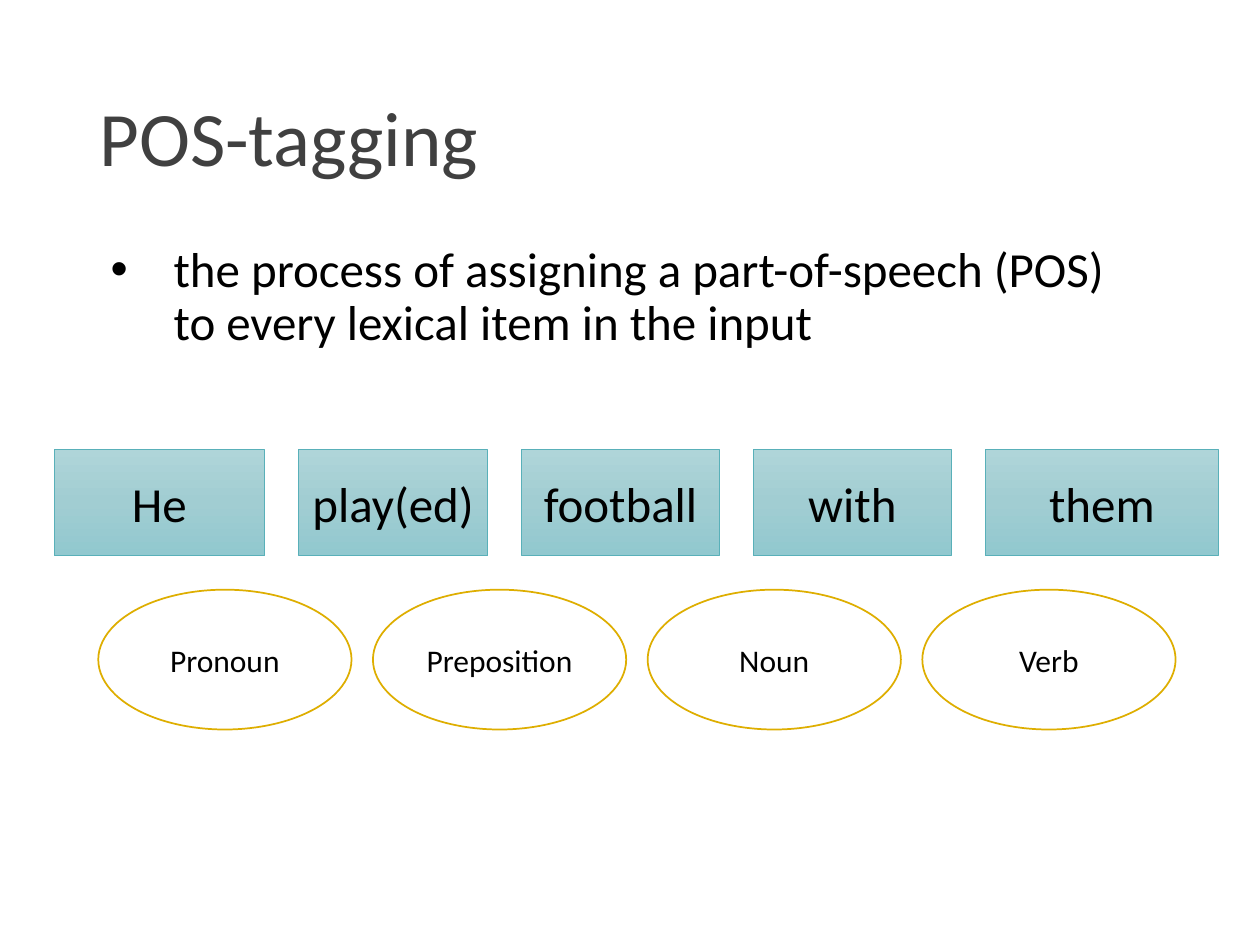
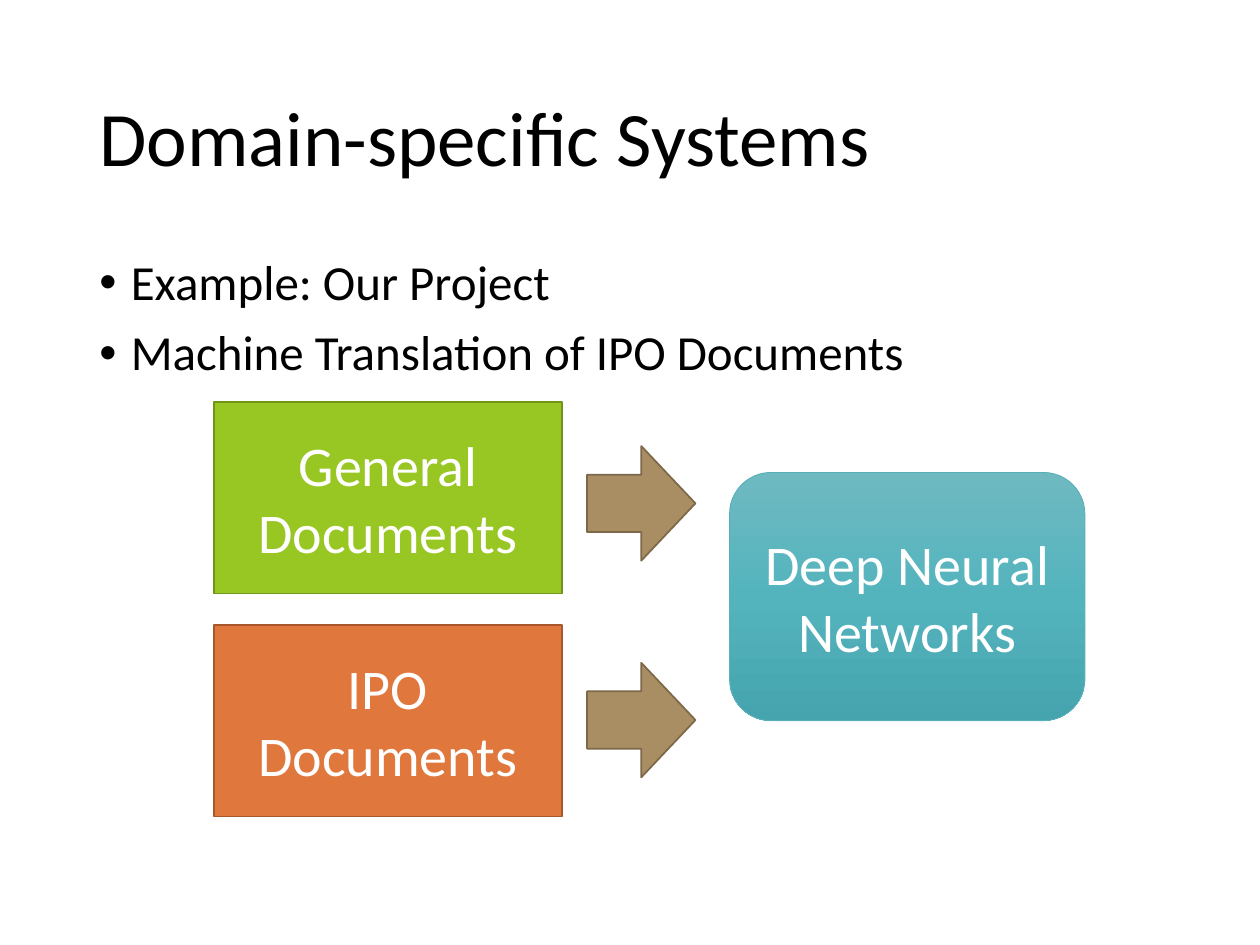
from copy import deepcopy

from lxml import etree
from pptx import Presentation
from pptx.dml.color import RGBColor
from pptx.enum.shapes import MSO_SHAPE
from pptx.enum.text import MSO_ANCHOR, PP_ALIGN
from pptx.oxml.ns import qn
from pptx.util import Inches, Pt

RECTANGLE = MSO_SHAPE.RECTANGLE
ROUNDED = MSO_SHAPE.ROUNDED_RECTANGLE
ELLIPSE = MSO_SHAPE.OVAL
ARROW = MSO_SHAPE.RIGHT_ARROW
MIDDLE, TOP = MSO_ANCHOR.MIDDLE, MSO_ANCHOR.TOP
CENTER, LEFT = PP_ALIGN.CENTER, PP_ALIGN.LEFT

FONT = "Calibri"
BLACK = RGBColor(0x00, 0x00, 0x00)
WHITE = RGBColor(0xFF, 0xFF, 0xFF)
GRAY = RGBColor(0x40, 0x40, 0x40)
GOLD = RGBColor(0xDE, 0xAE, 0x00)
TEAL = RGBColor(0x59, 0xB0, 0xB9)
GREEN = RGBColor(0x98, 0xC7, 0x23)
DARK_GREEN = RGBColor(0x70, 0x93, 0x1A)
ORANGE = RGBColor(0xE0, 0x77, 0x3C)
DARK_ORANGE = RGBColor(0xA6, 0x58, 0x2C)
TAN = RGBColor(0xA9, 0x8D, 0x63)
DARK_TAN = RGBColor(0x7D, 0x68, 0x49)
PALE_TEALS = (RGBColor(0xAF, 0xD5, 0xD9), RGBColor(0xA1, 0xCD, 0xD2), RGBColor(0x91, 0xC8, 0xCF))
DEEP_TEALS = (RGBColor(0x6F, 0xB9, 0xC1), RGBColor(0x54, 0xB4, 0xBE), RGBColor(0x45, 0xA4, 0xAE))

TITLE_BOX = (0.69, 0.4, 8.62, 1.45)

TAGGING = {
    "title": "POS-tagging",
    "bullets": ["the process of assigning a part-of-speech (POS) to every lexical item in the input"],
    "words": [("He", 1.67), ("play(ed)", 1.5), ("football", 1.57), ("with", 1.57), ("them", 1.85)],
    "tags": ["Pronoun", "Preposition", "Noun", "Verb"],
}
SYSTEMS = {
    "title": "Domain-specific Systems",
    "bullets": ["Example: Our Project", "Machine Translation of IPO Documents"],
    "sources": [("General Documents", GREEN, DARK_GREEN), ("IPO Documents", ORANGE, DARK_ORANGE)],
    "target": "Deep Neural Networks",
}

WORD_LEFT, WORD_TOP, WORD_HEIGHT, WORD_GAP = 0.43, 3.57, 0.84, 0.27
TAG_LEFT, TAG_TOP, TAG_SIZE, TAG_PITCH = 0.78, 4.68, (2.01, 1.11), 2.18
SOURCE_LEFT, SOURCE_TOP, SOURCE_SIZE, SOURCE_PITCH = 1.7, 3.19, (2.76, 1.52), 1.77
ARROW_LEFT, ARROW_TOP, ARROW_SIZE, ARROW_PITCH = 4.66, 3.54, (0.86, 0.91), 1.72
TARGET_BOX = (5.79, 3.75, 2.82, 1.97)


def format_text(paragraph, size, color, alignment=LEFT):
    paragraph.alignment = alignment
    for run in paragraph.runs:
        run.font.name = FONT
        run.font.size = Pt(size)
        run.font.color.rgb = color


def add_text_box(slide, box, lines, size, color, anchor=TOP, indent=None):
    shape = slide.shapes.add_textbox(*map(Inches, box))
    text_frame = shape.text_frame
    text_frame.word_wrap = True
    text_frame.vertical_anchor = anchor
    text_frame.text = "\n".join(lines)
    for index, paragraph in enumerate(text_frame.paragraphs):
        if indent:
            properties = paragraph._p.get_or_add_pPr()
            properties.set("marL", str(Inches(indent)))
            properties.set("indent", str(-Inches(indent)))
            etree.SubElement(properties, qn("a:buFont")).set("typeface", "Arial")
            etree.SubElement(properties, qn("a:buChar")).set("char", "•")
        paragraph.line_spacing = 0.9
        if index:
            paragraph.space_before = Pt(10)
        format_text(paragraph, size, color)


def fill_gradient(shape, colors):
    first, middle, last = colors
    shape.fill.gradient()
    shape.fill.gradient_angle = 270
    stops = shape.fill.gradient_stops
    stops[0].color.rgb, stops[1].color.rgb = first, last
    start = shape._element.spPr.find(".//" + qn("a:gs"))
    start.addnext(deepcopy(start))
    center = shape.fill.gradient_stops[1]
    center.position = 0.5
    center.color.rgb = middle


def add_shape(slide, kind, box, fill, line, line_width=1, text="", size=18, color=BLACK):
    shape = slide.shapes.add_shape(kind, *map(Inches, box))
    shape.shadow.inherit = False
    if isinstance(fill, RGBColor):
        shape.fill.solid()
        shape.fill.fore_color.rgb = fill
    else:
        fill_gradient(shape, fill)
    shape.line.color.rgb = line
    shape.line.width = Pt(line_width)
    if text:
        shape.text_frame.text = text
        shape.text_frame.word_wrap = True
        shape.text_frame.vertical_anchor = MIDDLE
        format_text(shape.text_frame.paragraphs[0], size, color, CENTER)


def add_slide(presentation, content, title_color, body_box, indent):
    slide = presentation.slides.add_slide(presentation.slide_layouts[6])
    add_text_box(slide, TITLE_BOX, [content["title"]], 44, title_color, MIDDLE)
    add_text_box(slide, body_box, content["bullets"], 28, BLACK, indent=indent)
    return slide


def build_tagging(presentation):
    slide = add_slide(presentation, TAGGING, GRAY, (0.78, 1.9, 8.37, 4.4), 0.5)
    for column, tag in enumerate(TAGGING["tags"]):
        box = (TAG_LEFT + column * TAG_PITCH, TAG_TOP, *TAG_SIZE)
        add_shape(slide, ELLIPSE, box, WHITE, GOLD, text=tag)
    left = WORD_LEFT
    for word, width in TAGGING["words"]:
        add_shape(slide, RECTANGLE, (left, WORD_TOP, width, WORD_HEIGHT), PALE_TEALS, TEAL, 0.5, word, 28)
        left += width + WORD_GAP


def build_systems(presentation):
    slide = add_slide(presentation, SYSTEMS, BLACK, (0.69, 2, 8.62, 4.76), 0.25)
    for row, (source, fill, line) in enumerate(SYSTEMS["sources"]):
        source_box = (SOURCE_LEFT, SOURCE_TOP + row * SOURCE_PITCH, *SOURCE_SIZE)
        arrow_box = (ARROW_LEFT, ARROW_TOP + row * ARROW_PITCH, *ARROW_SIZE)
        add_shape(slide, RECTANGLE, source_box, fill, line, text=source, size=32, color=WHITE)
        add_shape(slide, ARROW, arrow_box, TAN, DARK_TAN)
    add_shape(slide, ROUNDED, TARGET_BOX, DEEP_TEALS, TEAL, 0.5, SYSTEMS["target"], 32, WHITE)


def main():
    presentation = Presentation()
    presentation.slide_width = Inches(10)
    presentation.slide_height = Inches(7.5)
    build_tagging(presentation)
    build_systems(presentation)
    presentation.save("out.pptx")


if __name__ == "__main__":
    main()
